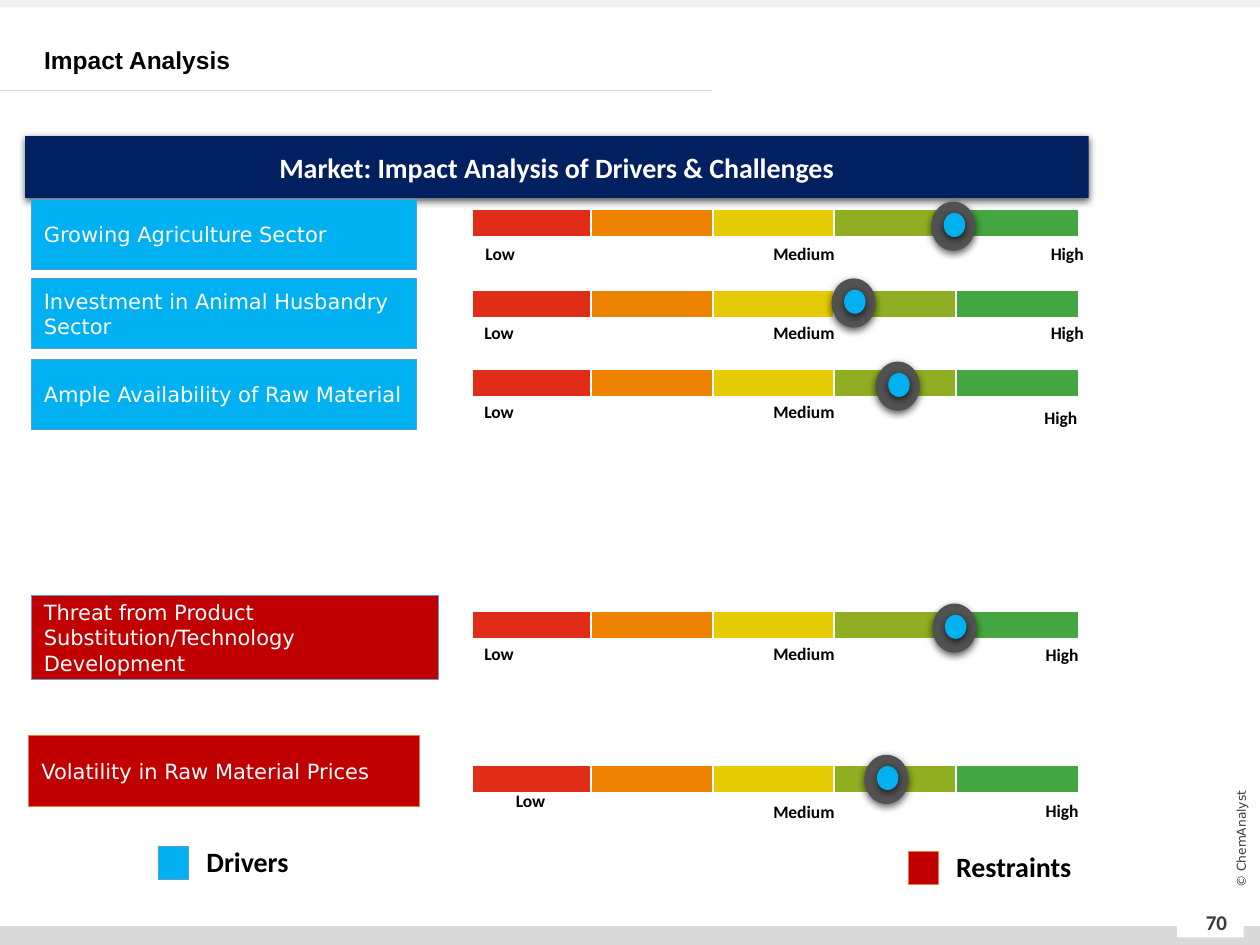
import pptx
import pptx.util
import pptx.dml.color
import pptx.enum.shapes
import pptx.enum.text
import pptx.oxml
import pptx.oxml.ns

Inches, Pt = pptx.util.Inches, pptx.util.Pt
SHAPE = pptx.enum.shapes.MSO_SHAPE
ALIGN = pptx.enum.text.PP_ALIGN
ANCHOR = pptx.enum.text.MSO_ANCHOR

COLORS = {
    "white": "FFFFFF", "black": "000000", "ink": "3B3838", "navy": "002060",
    "top": "F2F2F2", "rule": "D9D9D9", "driver": "00B0F0", "restraint": "C00000",
    "blue_edge": "5B9BD5", "orange_edge": "ED7D31", "knob": "525252",
    "level1": "E02D17", "level2": "ED8200", "level3": "E5CB04",
    "level4": "8FAE22", "level5": "44A641",
}
SEGMENT_LEFTS = (3.75, 4.69, 5.66, 6.62, 7.59)
SHADOW = (
    '<a:effectLst %s><a:outerShdw blurRad="57150" dist="19050" dir="5400000" '
    'algn="ctr" rotWithShape="0"><a:srgbClr val="000000"><a:alpha val="63000"/>'
    "</a:srgbClr></a:outerShdw></a:effectLst>" % pptx.oxml.ns.nsdecls("a")
)

# label, fill, edge, label box, scale top, knob position, (left, top) of Low / Medium / High
FACTORS = [
    ("Growing Agriculture Sector", "driver", "blue_edge", (0.25, 1.58, 3.06, 0.56),
     1.66, (7.39, 1.6), ((3.6, 1.88), (6.01, 1.88), (8.1, 1.88))),
    ("Investment in Animal Husbandry Sector", "driver", "blue_edge", (0.25, 2.21, 3.06, 0.56),
     2.3, (6.6, 2.21), ((3.59, 2.51), (6.01, 2.51), (8.1, 2.51))),
    ("Ample Availability of Raw Material", "driver", "blue_edge", (0.25, 2.85, 3.06, 0.56),
     2.93, (6.95, 2.87), ((3.59, 3.13), (6.01, 3.13), (8.05, 3.18))),
    ("Threat from Product Substitution/Technology Development", "restraint", "blue_edge",
     (0.25, 4.73, 3.23, 0.66),
     4.85, (7.4, 4.79), ((3.59, 5.05), (6.01, 5.05), (8.06, 5.06))),
    ("Volatility in Raw Material Prices", "restraint", "orange_edge", (0.23, 5.84, 3.1, 0.56),
     6.07, (6.86, 5.99), ((3.84, 6.22), (6.01, 6.31), (8.06, 6.3))),
]
# label, fill, edge, swatch position, text box
LEGEND = [
    ("Drivers", "driver", "blue_edge", (1.26, 6.72), (1.54, 6.65, 0.91, 0.42)),
    ("Restraints", "restraint", "orange_edge", (7.21, 6.76), (7.49, 6.69, 1.13, 0.41)),
]


def rgb(name):
    return pptx.dml.color.RGBColor.from_string(COLORS[name])


class Deck:
    def __init__(self):
        self.prs = pptx.Presentation()
        self.prs.slide_width, self.prs.slide_height = Inches(10), Inches(7.5)
        self.s = self.prs.slides.add_slide(self.prs.slide_layouts[5])

    def set_text(self, sp, text, size, color, font="Calibri", bold=True,
                 align=ALIGN.CENTER, anchor=ANCHOR.MIDDLE, right=0.1):
        tf = sp.text_frame
        tf.word_wrap = True
        tf.auto_size = pptx.enum.text.MSO_AUTO_SIZE.NONE
        tf.vertical_anchor = anchor
        tf.margin_right = Inches(right)
        p = tf.paragraphs[0]
        p.text = text
        p.alignment = align
        p.font.name, p.font.size, p.font.bold = font, Pt(size), bold
        p.font.color.rgb = rgb(color)
        return p

    def title(self, text, box):
        sp = self.s.shapes.title
        sp.left, sp.top, sp.width, sp.height = map(Inches, box)
        p = self.set_text(sp, text, 14, "black", font="Arial", align=ALIGN.LEFT)
        p.line_spacing = Pt(17)

    def text(self, text, box, size, color, **style):
        sp = self.s.shapes.add_textbox(*map(Inches, box))
        self.set_text(sp, text, size, color, **style)
        return sp

    def shape(self, box, fill, edge=None, edge_width=0.5, kind=SHAPE.RECTANGLE, shadow=False):
        sp = self.s.shapes.add_shape(kind, *map(Inches, box))
        sp.fill.solid()
        sp.fill.fore_color.rgb = rgb(fill)
        if edge:
            sp.line.color.rgb = rgb(edge)
            sp.line.width = Pt(edge_width)
        else:
            sp.line.fill.background()
        if shadow:
            sp._element.spPr.append(pptx.oxml.parse_xml(SHADOW))
        else:
            sp.shadow.inherit = False
        return sp

    def line(self, start, end, color, width):
        cn = self.s.shapes.add_connector(
            pptx.enum.shapes.MSO_CONNECTOR.STRAIGHT, *map(Inches, start + end))
        cn.line.color.rgb = rgb(color)
        cn.line.width = Pt(width)
        cn._element.spPr.append(pptx.oxml.parse_xml(
            "<a:effectLst %s/>" % pptx.oxml.ns.nsdecls("a")))

    def scale(self, top, label_spots):
        """Five-step colour bar with its Low, Medium and High captions."""
        for i, left in enumerate(SEGMENT_LEFTS, 1):
            self.shape((left, top, 0.97, 0.22), f"level{i}", "white", 1)
        for caption, spot in zip(("Low", "Medium", "High"), label_spots):
            self.text(caption, spot + (0.74, 0.25), 10, "black", anchor=ANCHOR.TOP)

    def knob(self, left, top):
        self.shape((left, top, 0.35, 0.39), "knob", kind=SHAPE.OVAL, shadow=True)
        self.shape((left + 0.1, top + 0.09, 0.17, 0.19), "driver", kind=SHAPE.OVAL, shadow=True)


def main():
    deck = Deck()

    deck.shape((0, 7.35, 10, 0.15), "rule")
    deck.shape((0, 0, 10, 0.06), "top")
    deck.shape((9.34, 7.22, 0.53, 0.22), "white")
    deck.line((0, 0.72), (5.65, 0.72), "rule", 0.5)
    deck.text("70", (9.41, 7.12, 0.49, 0.4), 12, "ink")
    deck.text("© ChemAnalyst", (9.25, 6.58, 1.2, 0.16), 7, "ink",
              font="DejaVu Sans", bold=False).rotation = 270

    deck.title("Impact Analysis", (0.25, 0.31, 9.76, 0.32))
    header = deck.shape((0.2, 1.08, 8.44, 0.49), "navy", shadow=True)
    deck.set_text(header, "Market: Impact Analysis of Drivers & Challenges", 16, "white")

    for label, fill, edge, box, scale_top, knob, label_spots in FACTORS:
        sp = deck.shape(box, fill, edge)
        deck.set_text(sp, label, 12, "white", font="DejaVu Sans", bold=False,
                      align=ALIGN.LEFT, right=0.05)
        deck.scale(scale_top, label_spots)
        deck.knob(*knob)

    for label, fill, edge, spot, box in LEGEND:
        deck.shape(spot + (0.24, 0.26), fill, edge)
        deck.text(label, box, 16, "black", align=ALIGN.LEFT, anchor=ANCHOR.TOP, right=0)

    deck.prs.save("out.pptx")


if __name__ == "__main__":
    main()
